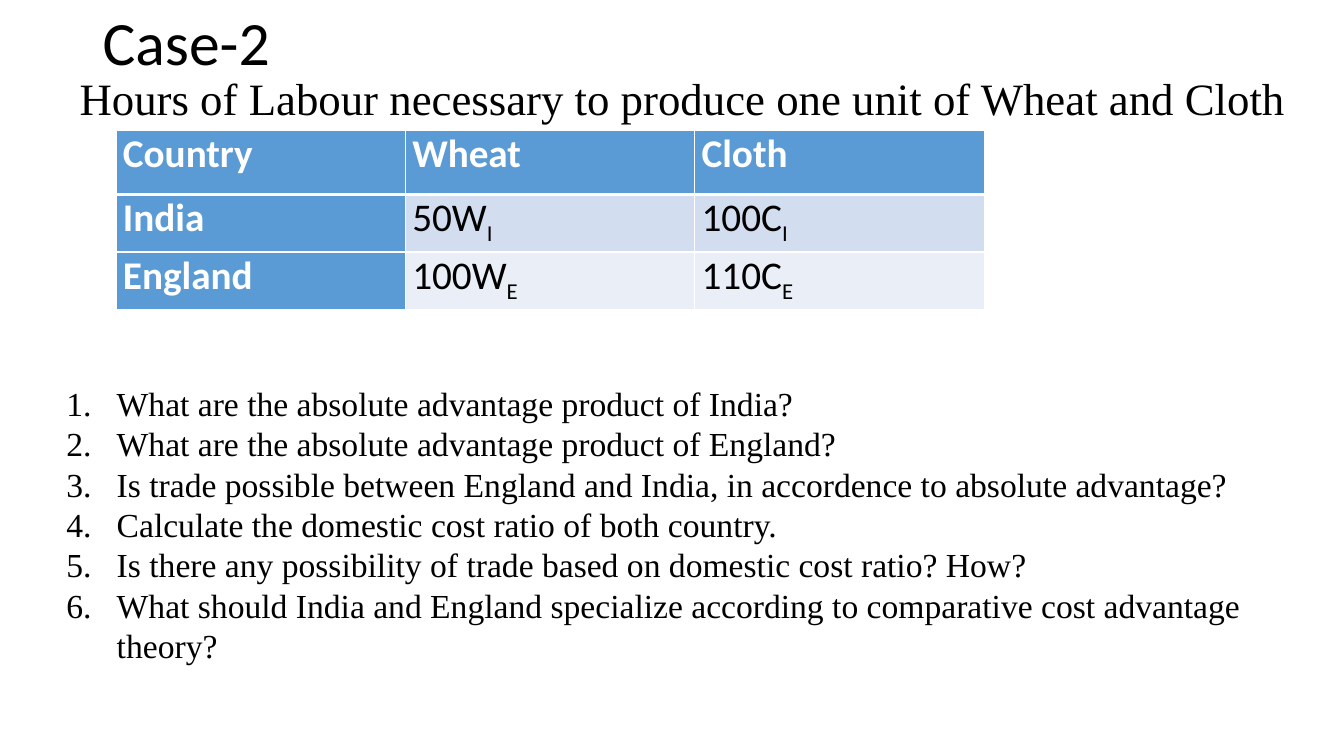
from dataclasses import dataclass

from lxml import etree
from pptx import Presentation
from pptx.dml.color import RGBColor
from pptx.enum.text import MSO_ANCHOR
from pptx.oxml.ns import qn
from pptx.util import Inches, Pt

MIDDLE = MSO_ANCHOR.MIDDLE
TOP = MSO_ANCHOR.TOP
SANS = "Calibri"
SERIF = "Times New Roman"
COLORS = {
    "text": "000000",
    "white": "FFFFFF",
    "header": "5B9BD5",
    "band_dark": "D2DEEF",
    "band_light": "EAEFF7",
}


@dataclass(frozen=True)
class TextBox:
    left: float
    top: float
    width: float
    height: float
    lines: tuple[str, ...]
    size: float
    font: str = SERIF
    anchor: MSO_ANCHOR = TOP
    line_spacing: float = 1.0
    numbered: bool = False


@dataclass(frozen=True)
class Cell:
    text: str
    subscript: str = ""
    heading: bool = False


TEXT_BOXES = (
    TextBox(0.92, 0, 2.17, 0.91, ("Case-2",), 44, SANS, MIDDLE, 0.9),
    TextBox(0.69, 0.65, 12.35, 0.64,
            ("Hours of Labour necessary to produce one unit of Wheat and Cloth",), 32),
    TextBox(0.56, 3.75, 12.64, 3.4, (
        "What are the absolute advantage product of India?",
        "What are the absolute advantage product of England?",
        "Is trade possible between England and India, in accordence to absolute advantage?",
        "Calculate the domestic cost ratio of both country.",
        "Is there any possibility of trade based on domestic cost ratio? How?",
        "What should India and England specialize according to comparative cost advantage theory?",
    ), 24, numbered=True),
)
LABOUR_HOURS = (
    tuple(Cell(text, heading=True) for text in ("Country", "Wheat", "Cloth")),
    (Cell("India", heading=True), Cell("50W", "I"), Cell("100C", "I")),
    (Cell("England", heading=True), Cell("100W", "E"), Cell("110C", "E")),
)
COLUMN_WIDTHS = (2.87, 2.87, 2.88)
ROW_HEIGHTS = (0.64, 0.57, 0.57)
ROW_FILLS = ("header", "band_dark", "band_light")


def add_text(paragraph, text: str, *, size: float, font: str, color: str = "text",
             bold: bool = False, subscript: bool = False) -> None:
    run = paragraph.add_run()
    run.text = text
    run.font.size = Pt(size)
    run.font.name = font
    run.font.bold = bold
    run.font.color.rgb = RGBColor.from_string(COLORS[color])
    if subscript:
        run.font._element.set("baseline", "-25000")


def number_paragraph(paragraph) -> None:
    """Give the paragraph automatic numbering with a hanging indent."""
    properties = paragraph._p.get_or_add_pPr()
    properties.set("marL", str(Inches(0.5)))
    properties.set("indent", str(Inches(-0.5)))
    etree.SubElement(properties, qn("a:buFont"), typeface="+mj-lt")
    etree.SubElement(properties, qn("a:buAutoNum"), type="arabicPeriod")


def add_text_box(slide, box: TextBox) -> None:
    shape = slide.shapes.add_textbox(
        Inches(box.left), Inches(box.top), Inches(box.width), Inches(box.height))
    frame = shape.text_frame
    frame.word_wrap = True
    frame.vertical_anchor = box.anchor
    for index, line in enumerate(box.lines):
        paragraph = frame.add_paragraph() if index else frame.paragraphs[0]
        if box.numbered:
            number_paragraph(paragraph)
        paragraph.line_spacing = box.line_spacing
        add_text(paragraph, line, size=box.size, font=box.font)


def add_borders(table_cell, bottom_width: float, top_width: float) -> None:
    properties = table_cell._tc.get_or_add_tcPr()
    widths = {"a:lnL": 1, "a:lnR": 1, "a:lnT": top_width, "a:lnB": bottom_width}
    for tag, width in widths.items():
        line = etree.SubElement(properties, qn(tag), w=str(Pt(width)))
        fill = etree.SubElement(line, qn("a:solidFill"))
        etree.SubElement(fill, qn("a:srgbClr"), val=COLORS["white"])


def add_labour_table(slide) -> None:
    table = slide.shapes.add_table(
        len(ROW_HEIGHTS), len(COLUMN_WIDTHS), Inches(1.15), Inches(1.29),
        Inches(sum(COLUMN_WIDTHS)), Inches(sum(ROW_HEIGHTS))).table
    for column, width in zip(table.columns, COLUMN_WIDTHS):
        column.width = Inches(width)
    for row_index, cells in enumerate(LABOUR_HOURS):
        table.rows[row_index].height = Inches(ROW_HEIGHTS[row_index])
        for column_index, cell in enumerate(cells):
            table_cell = table.cell(row_index, column_index)
            table_cell.margin_left = table_cell.margin_right = Inches(0.07)
            table_cell.margin_top = table_cell.margin_bottom = 0
            add_borders(table_cell, bottom_width=3 if row_index == 0 else 1,
                        top_width=3 if row_index == 1 else 1)
            fill_name = "header" if cell.heading else ROW_FILLS[row_index]
            table_cell.fill.solid()
            table_cell.fill.fore_color.rgb = RGBColor.from_string(COLORS[fill_name])
            paragraph = table_cell.text_frame.paragraphs[0]
            add_text(paragraph, cell.text, size=28, font=SANS, bold=cell.heading,
                     color="white" if cell.heading else "text")
            if cell.subscript:
                add_text(paragraph, cell.subscript, size=28, font=SANS, subscript=True)


def main() -> None:
    presentation = Presentation()
    presentation.slide_width = Inches(13.33)
    presentation.slide_height = Inches(7.5)
    slide = presentation.slides.add_slide(presentation.slide_layouts[6])
    for box in TEXT_BOXES:
        add_text_box(slide, box)
    add_labour_table(slide)
    presentation.save("out.pptx")


if __name__ == "__main__":
    main()
